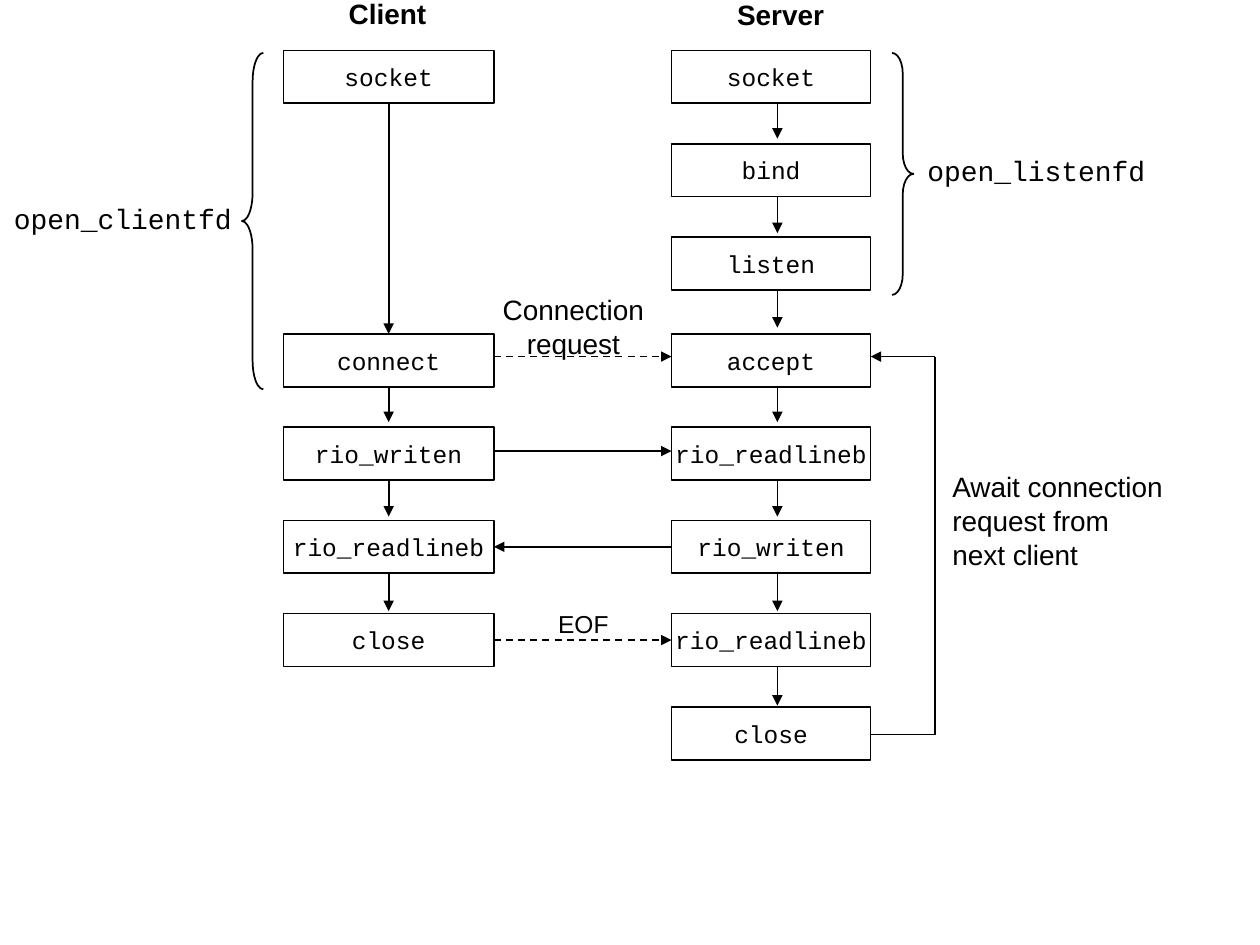
from typing import NamedTuple

from lxml import etree
from pptx import Presentation
from pptx import util as u
from pptx.dml.color import RGBColor
from pptx.enum import dml, shapes, text
from pptx.oxml.ns import qn

COLORS = {"ink": "000000", "paper": "FFFFFF"}
SANS, MONO = "Arial", "Courier New"
TOP, LEFT, BOTTOM, RIGHT = range(4)
STEP, HIGH = 0.74, 0.42
TOPS = [0.4 + STEP * i for i in range(3)] + [2.65 + STEP * i for i in range(5)]


class Lane(NamedTuple):
    left: float
    width: float
    steps: dict[int, str]  # row number -> call


class Label(NamedTuple):
    words: str
    at: tuple[float, float, float, float]
    size: int = 16
    font: str = SANS
    bold: bool = False
    align: text.PP_ALIGN = text.PP_ALIGN.CENTER


class Brace(NamedTuple):
    kind: shapes.MSO_SHAPE
    left: float
    height: float
    bend: float


CLIENT = Lane(2.25, 1.67, {0: "socket", 3: "connect", 4: "rio_writen",
                           5: "rio_readlineb", 6: "close"})
SERVER = Lane(5.33, 1.58, dict(enumerate([
    "socket", "bind", "listen", "accept", "rio_readlineb",
    "rio_writen", "rio_readlineb", "close"])))

LABELS = [
    Label("Client", (2.6, -0.08, 0.95, 0.37), bold=True),
    Label("Server", (5.72, -0.07, 0.95, 0.37), bold=True),
    Label("Connection\nrequest", (3.89, 2.27, 1.32, 0.64)),
    Label("EOF", (4.33, 4.78, 0.6, 0.34), size=14),
    Label("Await connection\nrequest from\nnext client",
          (7.46, 3.68, 1.87, 0.9), align=text.PP_ALIGN.LEFT),
    Label("open_listenfd", (7.26, 1.17, 1.93, 0.37), font=MONO),
    Label("open_clientfd", (0.01, 1.55, 1.93, 0.37), font=MONO),
]
BRACES = [
    Brace(shapes.MSO_SHAPE.RIGHT_BRACE, 7.08, 1.92, 0.96),
    Brace(shapes.MSO_SHAPE.LEFT_BRACE, 1.92, 2.67, 1.33),
]


def color(name: str) -> RGBColor:
    return RGBColor.from_string(COLORS[name])


def ink(line) -> None:
    line.color.rgb = color("ink")
    line.width = u.Pt(1)


def write(shape, words: str, *, size: int = 14, font: str = MONO,
          bold: bool = False, align=text.PP_ALIGN.CENTER) -> None:
    frame = shape.text_frame
    frame.text = words
    frame.word_wrap = False
    frame.vertical_anchor = text.MSO_ANCHOR.MIDDLE
    for para in frame.paragraphs:
        para.alignment = align
        para.font.size = u.Pt(size)
        para.font.name = font
        para.font.bold = bold
        para.font.color.rgb = color("ink")


def add_lane(slide, lane: Lane) -> dict:
    boxes = {}
    for row, call in lane.steps.items():
        box = slide.shapes.add_shape(
            shapes.MSO_SHAPE.RECTANGLE, u.Inches(lane.left),
            u.Inches(TOPS[row]), u.Inches(lane.width), u.Inches(HIGH))
        box.shadow.inherit = False
        box.fill.solid()
        box.fill.fore_color.rgb = color("paper")
        ink(box.line)
        write(box, call)
        boxes[row] = box
    return boxes


def add_line(slide, start: tuple[float, float], end: tuple[float, float],
             *, head: bool = True, dash: bool = False):
    line = slide.shapes.add_connector(
        shapes.MSO_CONNECTOR.STRAIGHT, *map(u.Inches, start + end))
    ink(line.line)
    if dash:
        line.line.dash_style = dml.MSO_LINE.DASH
    if head:
        etree.SubElement(line.line._get_or_add_ln(), qn("a:tailEnd"),
                         type="triangle")
    etree.SubElement(line._element.spPr, qn("a:effectLst"))
    return line


def add_label(slide, label: Label) -> None:
    box = slide.shapes.add_textbox(*map(u.Inches, label.at))
    write(box, label.words, size=label.size, font=label.font,
          bold=label.bold, align=label.align)
    box.text_frame.auto_size = text.MSO_AUTO_SIZE.SHAPE_TO_FIT_TEXT


def add_brace(slide, brace: Brace) -> None:
    shape = slide.shapes.add_shape(
        brace.kind, u.Inches(brace.left), u.Inches(0.42),
        u.Inches(0.17), u.Inches(brace.height))
    shape.shadow.inherit = False
    shape.fill.background()
    ink(shape.line)
    shape.adjustments[0] = brace.bend


def main() -> None:
    deck = Presentation()
    deck.slide_width, deck.slide_height = u.Inches(10), u.Inches(7.5)
    slide = deck.slides.add_slide(deck.slide_layouts[6])

    # Calls on each side
    client = add_lane(slide, CLIENT)
    server = add_lane(slide, SERVER)

    # Steps down each lane; most tips stop just short of the next box
    mid = CLIENT.left + CLIENT.width / 2
    opening = add_line(slide, (mid, TOPS[0] + HIGH), (mid, TOPS[3]))
    opening.begin_connect(client[0], BOTTOM)
    opening.end_connect(client[3], TOP)
    for row in (3, 4, 5):
        line = add_line(slide, (mid, TOPS[row] + HIGH),
                        (mid, 1.1 + 0.75 * row))
        line.begin_connect(client[row], BOTTOM)
    for row in range(7):
        add_line(slide, (6.17, TOPS[row] + HIGH), (6.17, 1.1 + 0.75 * row))

    # Messages between the lanes
    near, far = CLIENT.left + CLIENT.width, SERVER.left
    add_line(slide, (near, 2.83), (far, 2.83), dash=True)
    add_line(slide, (near, 3.58), (far, 3.58))
    reply = add_line(slide, (far, 4.33), (near, 4.33))
    reply.begin_connect(server[5], LEFT)
    reply.end_connect(client[5], RIGHT)
    eof = add_line(slide, (near, 5.08), (far, 5.08), dash=True)
    eof.begin_connect(client[6], RIGHT)
    eof.end_connect(server[6], LEFT)

    # Loop back to accept
    edge = SERVER.left + SERVER.width
    loop = [(edge, 5.83), (7.42, 5.83), (7.42, 2.83), (edge, 2.83)]
    for i, (start, end) in enumerate(zip(loop, loop[1:])):
        add_line(slide, start, end, head=i == 2)

    # Braces and labels
    for brace in BRACES:
        add_brace(slide, brace)
    for label in LABELS:
        add_label(slide, label)

    deck.save("out.pptx")


if __name__ == "__main__":
    main()
